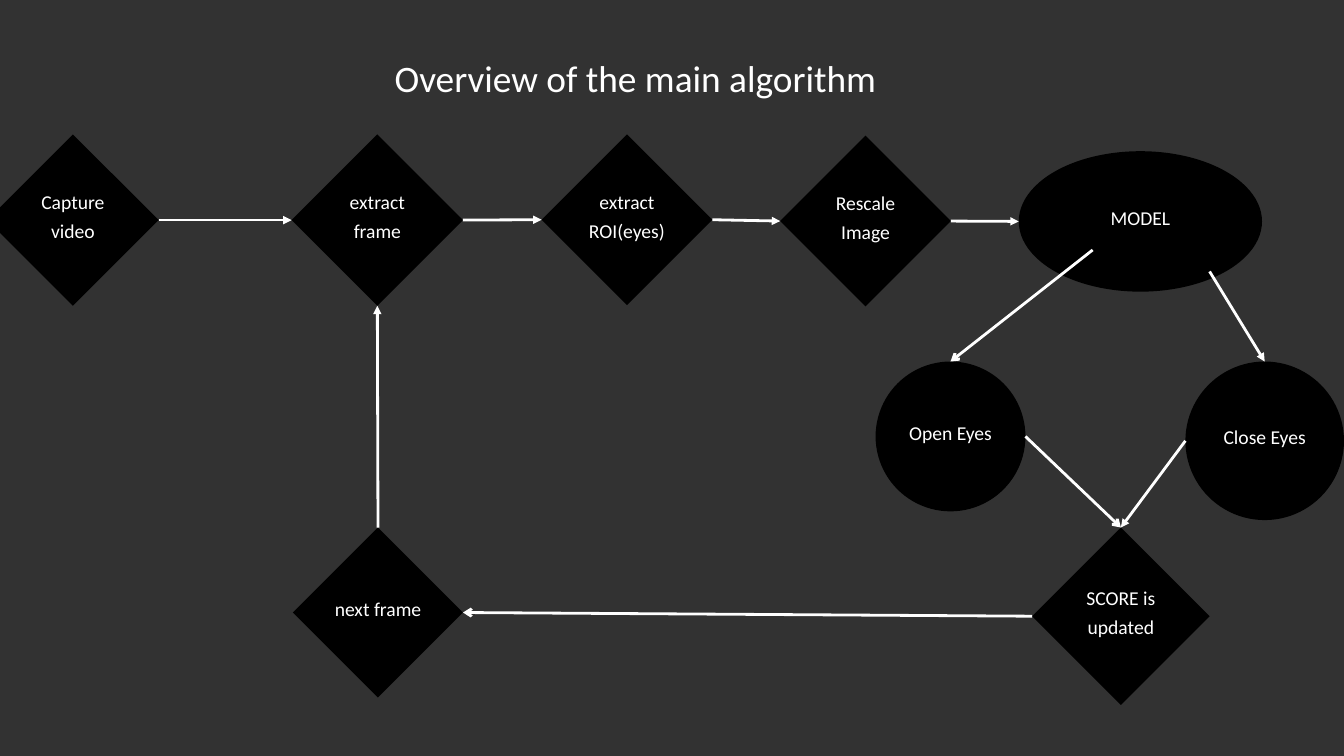
from lxml.etree import SubElement
from pptx import Presentation
from pptx.dml.color import RGBColor
from pptx.enum.shapes import MSO_CONNECTOR, MSO_SHAPE
from pptx.enum.text import MSO_ANCHOR, MSO_AUTO_SIZE, PP_ALIGN
from pptx.oxml.ns import qn
from pptx.util import Inches, Pt

BACKGROUND = RGBColor(0x32, 0x32, 0x32)
BLACK = RGBColor(0, 0, 0)
WHITE = RGBColor(0xFF, 0xFF, 0xFF)
FONT = "Calibri"

TOP, LEFT, BOTTOM, RIGHT = range(4)
SIDE_FRACTIONS = {TOP: (0.5, 0), LEFT: (0, 0.5), BOTTOM: (0.5, 1), RIGHT: (1, 0.5)}
LABEL_FRACTIONS = {MSO_SHAPE.DIAMOND: (0.66, 0.74), MSO_SHAPE.OVAL: (0.81, 0.9)}
LABEL_LIFT = 0.1


def write_text(frame, text, size, spacing, inset, anchor):
    frame.word_wrap = True
    frame.vertical_anchor = anchor
    frame.margin_left = frame.margin_right = Inches(inset)
    frame.margin_top = frame.margin_bottom = Inches(inset)
    paragraph = frame.paragraphs[0]
    paragraph.alignment = PP_ALIGN.CENTER
    paragraph.line_spacing = Pt(spacing)
    run = paragraph.add_run()
    run.text = text
    run.font.size = Pt(size)
    run.font.name = FONT
    run.font.color.rgb = WHITE


def format_title(slide, text):
    title = slide.shapes.title
    title.left, title.top = Inches(5.15), Inches(0.71)
    title.width, title.height = Inches(8.61), Inches(0.74)
    write_text(title.text_frame, text, 40, 56, 0, MSO_ANCHOR.TOP)
    title.text_frame.auto_size = MSO_AUTO_SIZE.SHAPE_TO_FIT_TEXT


def add_node(slide, kind, text, left, top, width, height):
    shape = slide.shapes.add_shape(
        kind, Inches(left), Inches(top), Inches(width), Inches(height))
    shape.shadow.inherit = False
    shape.fill.solid()
    shape.fill.fore_color.rgb = BLACK
    shape.line.fill.background()

    across, down = LABEL_FRACTIONS[kind]
    label_width, label_height = width * across, height * down
    label = slide.shapes.add_textbox(
        Inches(left + (width - label_width) / 2),
        Inches(top + (height - label_height) / 2 - LABEL_LIFT),
        Inches(label_width), Inches(label_height))
    write_text(label.text_frame, text, 21, 31.5, 0.06, MSO_ANCHOR.MIDDLE)
    return shape


def add_diamond(slide, text, left, top, size):
    return add_node(slide, MSO_SHAPE.DIAMOND, text, left, top, size, size)


def add_oval(slide, text, left, top, width, height):
    return add_node(slide, MSO_SHAPE.OVAL, text, left, top, width, height)


def side_point(shape, side):
    across, down = SIDE_FRACTIONS[side]
    return (int(shape.left + shape.width * across),
            int(shape.top + shape.height * down))


def can_join(shape, side):
    return shape.auto_shape_type == MSO_SHAPE.DIAMOND or side == TOP


def add_arrow(slide, start, end, head="triangle", start_node=None):
    connector = slide.shapes.add_connector(MSO_CONNECTOR.STRAIGHT, *start, *side_point(*end))
    if start_node and can_join(*start_node):
        connector.begin_connect(*start_node)
    if can_join(*end):
        connector.end_connect(*end)
    connector.line.color.rgb = WHITE
    connector.line.width = Pt(3)
    line = connector.line._get_or_add_ln()
    SubElement(line, qn("a:tailEnd"), type=head)
    SubElement(connector._element.spPr, qn("a:effectLst"))


def link_nodes(slide, start_node, end_node, head="triangle"):
    add_arrow(slide, side_point(*start_node), end_node, head, start_node)


def main():
    presentation = Presentation()
    presentation.slide_width = Inches(20)
    presentation.slide_height = Inches(11.25)
    slide = presentation.slides.add_slide(presentation.slide_layouts[5])
    slide.background.fill.solid()
    slide.background.fill.fore_color.rgb = BACKGROUND
    format_title(slide, "Overview of the main algorithm")

    capture = add_diamond(slide, "Capture video", -0.19, 2, 2.55)
    extract = add_diamond(slide, "extract frame", 4.34, 2, 2.55)
    region = add_diamond(slide, "extract ROI(eyes)", 8.06, 2, 2.54)
    rescale = add_diamond(slide, "Rescale Image", 11.61, 2.02, 2.54)
    model = add_oval(slide, "MODEL", 15.16, 2.25, 3.62, 2.09)
    open_eyes = add_oval(slide, "Open Eyes", 13.03, 5.38, 2.23, 2.23)
    close_eyes = add_oval(slide, "Close Eyes", 17.64, 5.38, 2.36, 2.36)
    score = add_diamond(slide, "SCORE is updated", 15.36, 7.85, 2.64)
    next_frame = add_diamond(slide, "next frame", 4.36, 7.85, 2.53)

    steps = [capture, extract, region, rescale, model]
    for step, following in zip(steps, steps[1:]):
        link_nodes(slide, (step, RIGHT), (following, LEFT))

    add_arrow(slide, (Inches(16.26), Inches(3.72)), (open_eyes, TOP), "arrow")
    add_arrow(slide, (Inches(18), Inches(4.04)), (close_eyes, TOP))
    link_nodes(slide, (open_eyes, RIGHT), (score, TOP), "arrow")
    link_nodes(slide, (close_eyes, LEFT), (score, TOP))
    link_nodes(slide, (score, LEFT), (next_frame, RIGHT), "arrow")
    link_nodes(slide, (next_frame, TOP), (extract, BOTTOM))

    presentation.save("out.pptx")


if __name__ == "__main__":
    main()
